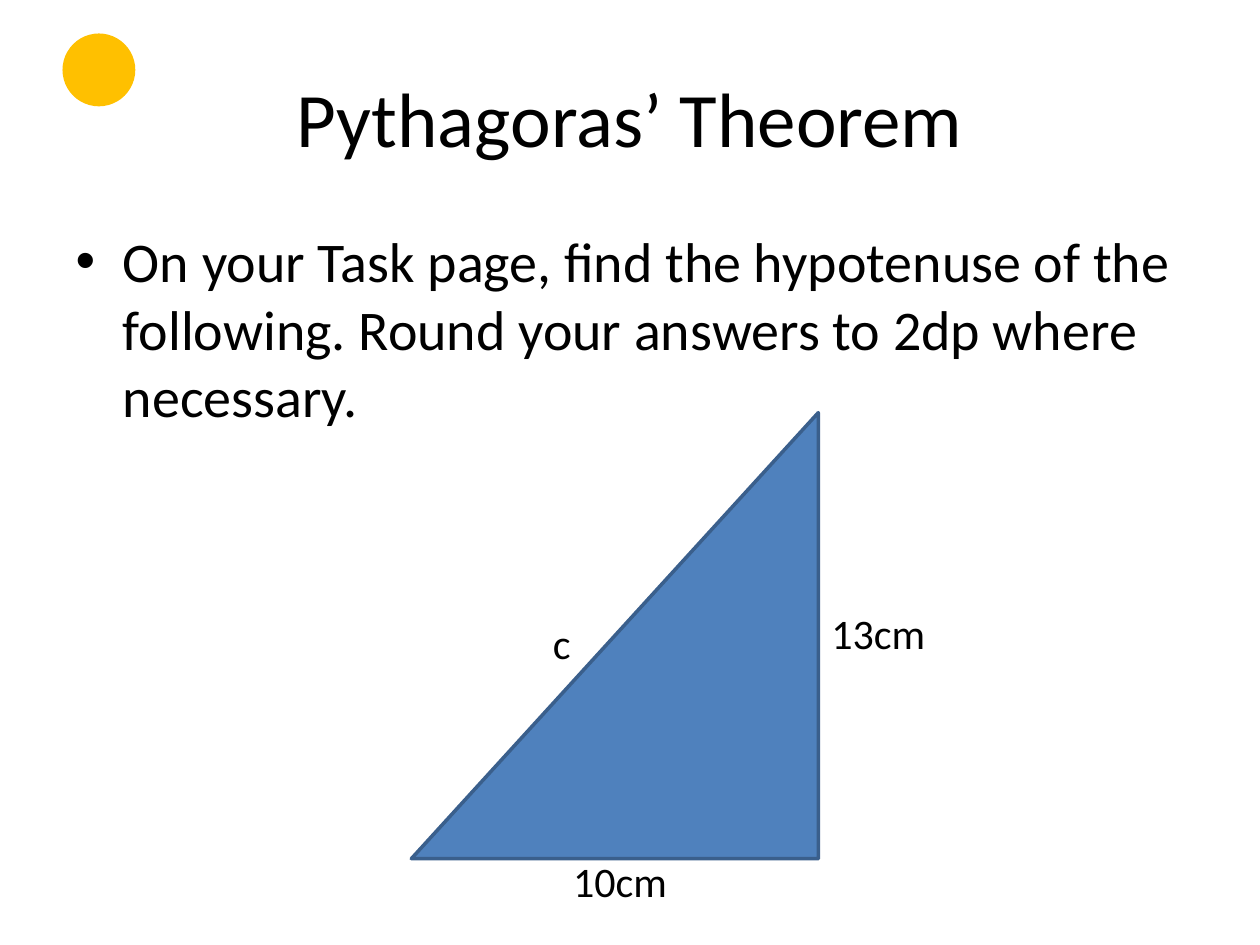
from pptx import Presentation
from pptx.dml.color import RGBColor
from pptx.enum.shapes import MSO_SHAPE
from pptx.enum.text import MSO_ANCHOR, PP_ALIGN
from pptx.util import Inches, Pt

COLORS = {"text": "000000", "triangle": "4F81BD", "edge": "3A5F8C", "dot": "FFC000"}

deck = Presentation()
deck.slide_width, deck.slide_height = Inches(10), Inches(7.5)
column, row = deck.slide_width / 100, deck.slide_height / 75
page = deck.slides.add_slide(deck.slide_layouts[1])


def grid(left, top, width, height):
    return [int(left * column), int(top * row), int(width * column), int(height * row)]


def write(box, text, size, align=PP_ALIGN.LEFT, anchor=MSO_ANCHOR.TOP):
    frame = box.text_frame
    frame.word_wrap = True
    frame.vertical_anchor = anchor
    para = frame.paragraphs[0]
    para.alignment = align
    para.space_before = Pt(0)
    span = para.add_run()
    span.text = text
    span.font.name = "Calibri"
    span.font.size = Pt(size)
    span.font.color.rgb = RGBColor.from_string(COLORS["text"])


title, body = page.placeholders
title.left, title.top, title.width, title.height = grid(5, 3, 90, 12.5)
write(title, "Pythagoras’ Theorem", 44, align=PP_ALIGN.CENTER, anchor=MSO_ANCHOR.MIDDLE)
body.left, body.top, body.width, body.height = grid(5, 17.5, 90, 49.5)
write(
    body,
    "On your Task page, find the hypotenuse of the following. "
    "Round your answers to 2dp where necessary.",
    32,
)

for preset, place, turn, fill, edge in [
    (MSO_SHAPE.RIGHT_TRIANGLE, (31.1, 34.3, 35.4, 32.3), 270, "triangle", "edge"),
    (MSO_SHAPE.OVAL, (5.1, 2.8, 5.5, 5.5), 0, "dot", "dot"),
]:
    figure = page.shapes.add_shape(preset, *grid(*place))
    figure.rotation = turn
    figure.shadow.inherit = False
    figure.fill.solid()
    figure.fill.fore_color.rgb = RGBColor.from_string(COLORS[fill])
    figure.line.color.rgb = RGBColor.from_string(COLORS[edge])
    figure.line.width = Pt(2)

for side, left, top in [("13cm", 65, 47.7), ("10cm", 44.5, 67.4), ("c", 42.9, 48.5)]:
    label = page.shapes.add_textbox(*grid(left, top, 12.6, 5))
    write(label, side, 24)

deck.save("out.pptx")
